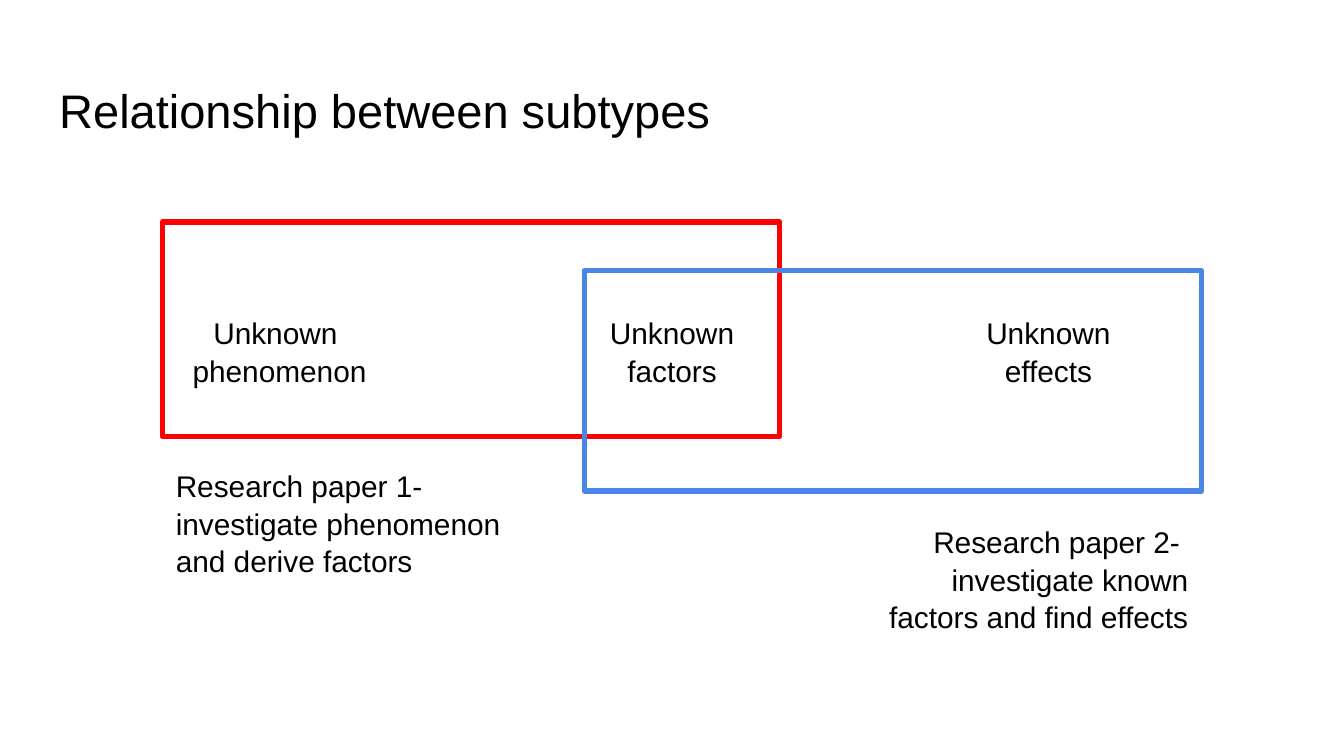
from dataclasses import dataclass

from lxml.etree import SubElement
from pptx import Presentation
from pptx.dml.color import RGBColor
from pptx.enum.shapes import MSO_SHAPE
from pptx.enum.text import MSO_ANCHOR, PP_ALIGN
from pptx.oxml.ns import qn
from pptx.slide import Slide
from pptx.text.text import TextFrame
from pptx.util import Pt


@dataclass(frozen=True)
class Theme:
    font: str = "Arial"
    text: RGBColor = RGBColor(0, 0, 0)
    background: RGBColor = RGBColor(255, 255, 255)
    first_paper: RGBColor = RGBColor(255, 0, 0)
    second_paper: RGBColor = RGBColor(0x4A, 0x86, 0xE8)
    title_size: float = 25.2
    body_size: float = 16
    outline: float = 3
    line_spacing: float = 1.05
    inset: float = 7.2


@dataclass(frozen=True)
class Box:
    left: float
    top: float
    width: float
    height: float

    def lengths(self) -> tuple[Pt, Pt, Pt, Pt]:
        return Pt(self.left), Pt(self.top), Pt(self.width), Pt(self.height)


@dataclass(frozen=True)
class Label:
    text: str
    box: Box
    alignment: PP_ALIGN


@dataclass(frozen=True)
class Scope:
    box: Box
    color: RGBColor


THEME = Theme()

LEFT_EDGE, RIGHT_EDGE = 87.1, 643.7
SCOPE_WIDTH = 330.5
CONCEPT_TOP, CONCEPT_WIDTH, CONCEPT_HEIGHT = 160.6, 106.6, 53.3
PAPER_WIDTH, PAPER_HEIGHT = 192.2, 72.7

FIRST_SCOPE = Scope(Box(LEFT_EDGE, 118.8, SCOPE_WIDTH, 115.2), THEME.first_paper)
SECOND_SCOPE = Scope(
    Box(RIGHT_EDGE - SCOPE_WIDTH, 144.9, SCOPE_WIDTH, 118.1), THEME.second_paper
)

LABELS = [
    Label(
        "Unknown  phenomenon",
        Box(LEFT_EDGE, CONCEPT_TOP, 125.3, CONCEPT_HEIGHT),
        PP_ALIGN.CENTER,
    ),
    Label(
        "Unknown factors",
        Box(306.7, CONCEPT_TOP, CONCEPT_WIDTH, CONCEPT_HEIGHT),
        PP_ALIGN.CENTER,
    ),
    Label(
        "Unknown effects",
        Box(508.3, CONCEPT_TOP, CONCEPT_WIDTH, CONCEPT_HEIGHT),
        PP_ALIGN.CENTER,
    ),
    Label(
        "Research paper 1-\ninvestigate phenomenon and derive factors",
        Box(LEFT_EDGE, 242.6, PAPER_WIDTH, PAPER_HEIGHT),
        PP_ALIGN.LEFT,
    ),
    Label(
        "Research paper 2- \ninvestigate known factors and find effects",
        Box(RIGHT_EDGE - PAPER_WIDTH, 272.4, PAPER_WIDTH, PAPER_HEIGHT),
        PP_ALIGN.RIGHT,
    ),
]


def format_text(
    text_frame: TextFrame, size: float, alignment: PP_ALIGN, anchor: MSO_ANCHOR
) -> None:
    text_frame.word_wrap = True
    text_frame.vertical_anchor = anchor
    text_frame.margin_left = text_frame.margin_right = Pt(THEME.inset)
    text_frame.margin_top = text_frame.margin_bottom = Pt(THEME.inset)
    for paragraph in text_frame.paragraphs:
        paragraph.alignment = alignment
        paragraph.line_spacing = THEME.line_spacing
        for run in paragraph.runs:
            run.font.name = THEME.font
            run.font.size = Pt(size)
            run.font.color.rgb = THEME.text


def set_title(slide: Slide, text: str, box: Box) -> None:
    title = slide.shapes.title
    title.left, title.top, title.width, title.height = box.lengths()
    title.text_frame.text = text
    format_text(title.text_frame, THEME.title_size, PP_ALIGN.LEFT, MSO_ANCHOR.MIDDLE)


def draw_scope(slide: Slide, scope: Scope) -> None:
    shape = slide.shapes.add_shape(MSO_SHAPE.RECTANGLE, *scope.box.lengths())
    shape.shadow.inherit = False
    shape.fill.background()
    shape.line.color.rgb = scope.color
    shape.line.width = Pt(THEME.outline)
    SubElement(shape.element.spPr.find(qn("a:ln")), qn("a:round"))


def draw_label(slide: Slide, label: Label) -> None:
    shape = slide.shapes.add_textbox(*label.box.lengths())
    shape.text_frame.text = label.text
    format_text(shape.text_frame, THEME.body_size, label.alignment, MSO_ANCHOR.TOP)


def main() -> None:
    presentation = Presentation()
    presentation.slide_width, presentation.slide_height = Pt(720), Pt(405)
    slide = presentation.slides.add_slide(presentation.slide_layouts[5])
    slide.background.fill.solid()
    slide.background.fill.fore_color.rgb = THEME.background

    set_title(slide, "Relationship between subtypes", Box(24.5, 35.3, 671, 45.4))
    draw_scope(slide, FIRST_SCOPE)
    for label in LABELS:
        draw_label(slide, label)
    draw_scope(slide, SECOND_SCOPE)
    presentation.save("out.pptx")


if __name__ == "__main__":
    main()
